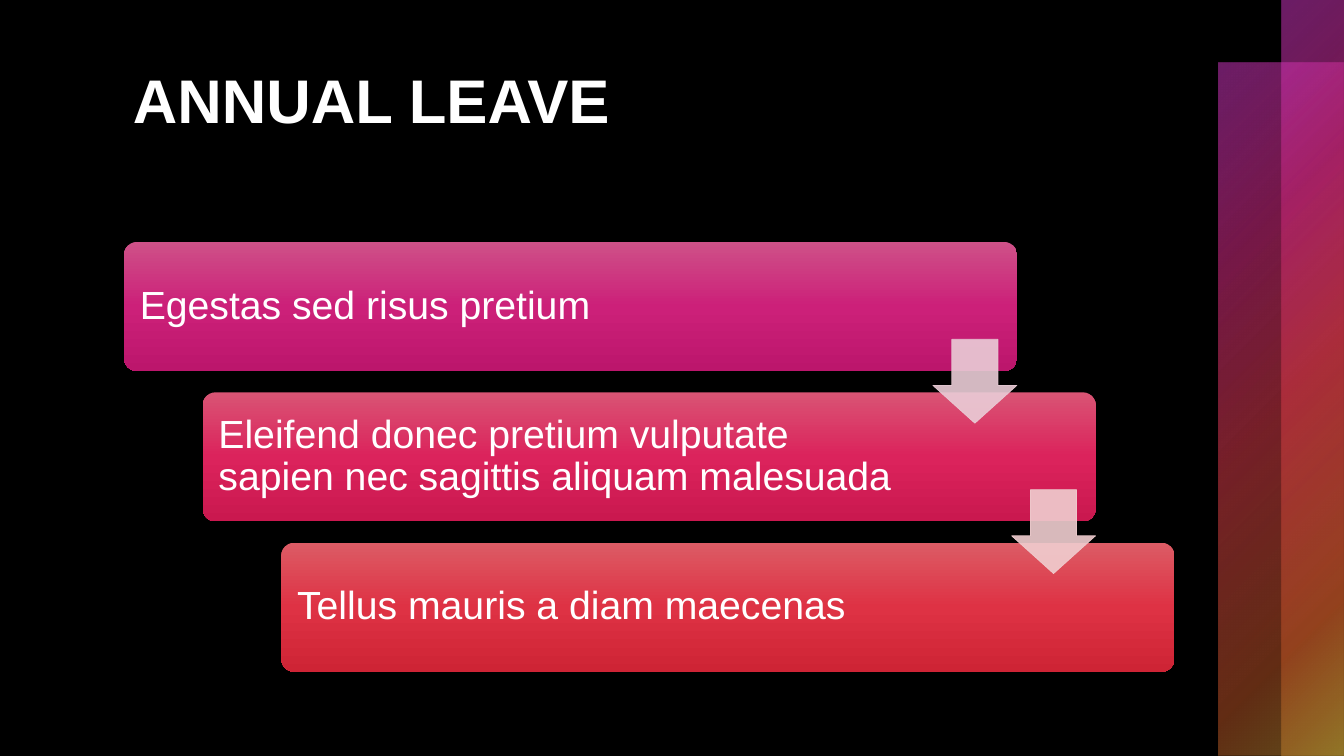
from lxml.etree import SubElement
from pptx import Presentation
from pptx.dml.color import RGBColor
from pptx.enum.shapes import MSO_SHAPE as Preset
from pptx.enum.text import MSO_ANCHOR as Anchor, MSO_AUTO_SIZE as AutoSize, PP_ALIGN as Align
from pptx.oxml.ns import qn
from pptx.util import Pt

BLACK = RGBColor(0x00, 0x00, 0x00)
WHITE = RGBColor(0xFF, 0xFF, 0xFF)
PURPLE = RGBColor(0xD6, 0x3A, 0xCC)
MAGENTA = RGBColor(0xC4, 0x28, 0x79)
RED = RGBColor(0xD6, 0x3A, 0x4A)
ORANGE = RGBColor(0xC4, 0x59, 0x28)
GOLD = RGBColor(0xC3, 0x9D, 0x35)
PINK_SHADES = (RGBColor(0xCE, 0x51, 0x88), RGBColor(0xCC, 0x20, 0x79), RGBColor(0xBC, 0x16, 0x6C))
ROSE_SHADES = (RGBColor(0xD9, 0x54, 0x74), RGBColor(0xDB, 0x23, 0x5C), RGBColor(0xCA, 0x18, 0x4F))
RED_SHADES = (RGBColor(0xDC, 0x5B, 0x65), RGBColor(0xDE, 0x32, 0x44), RGBColor(0xCE, 0x24, 0x35))
PALE_PINK = RGBColor(0xEA, 0xCD, 0xD7)
PALE_ROSE = RGBColor(0xF0, 0xCE, 0xD0)

FONT = "Arial"
SLIDE_WIDTH, SLIDE_HEIGHT = 960, 540
BAND = 44.8
STEP_LEFT, STEP_TOP, STEP_WIDTH, STEP_HEIGHT = 88.6, 172.8, 637.9, 92.2
SHIFT_X, SHIFT_Y = 56.2, 107.4
ARROW_LEFT, ARROW_TOP, ARROW_SIZE = 666.4, 242.4, 59.9

STEPS = (
    ("Egestas sed risus pretium", PINK_SHADES),
    ("Eleifend donec pretium vulputate sapien nec sagittis aliquam malesuada", ROSE_SHADES),
    ("Tellus mauris a diam maecenas", RED_SHADES),
)


def add_preset(slide, preset, left, top, width, height):
    shape = slide.shapes.add_shape(preset, Pt(left), Pt(top), Pt(width), Pt(height))
    shape.shadow.inherit = False
    shape.line.fill.background()
    return shape


def set_alpha(color_element, percent):
    SubElement(color_element, qn("a:alpha"), val=str(percent * 1000))


def start_gradient(shape, stops):
    shape.fill.background()
    properties = shape.element.spPr
    empty_fill = properties.find(qn("a:noFill"))
    gradient = SubElement(properties, qn("a:gradFill"), rotWithShape="1")
    properties.replace(empty_fill, gradient)
    stop_list = SubElement(gradient, qn("a:gsLst"))
    for position, color, opacity in stops:
        stop = SubElement(stop_list, qn("a:gs"), pos=str(position * 1000))
        color_element = SubElement(stop, qn("a:srgbClr"), val=str(color))
        if opacity < 100:
            set_alpha(color_element, opacity)
    return gradient


def add_band(slide, left, top, width, middle):
    band = add_preset(slide, Preset.RECTANGLE, left, top, width, SLIDE_HEIGHT - top)
    stops = ((0, PURPLE, 50), (25, MAGENTA, 60), (middle, RED, 55), (81, ORANGE, 50), (99, GOLD, 50))
    gradient = start_gradient(band, stops)
    radial = SubElement(gradient, qn("a:path"), path="circle")
    SubElement(radial, qn("a:fillToRect"), r="100000", b="100000")


def write_text(para, text, size, bold=False):
    para.alignment = Align.LEFT
    span = para.add_run()
    span.text = text
    font = span.font
    font.name, font.size, font.bold = FONT, Pt(size), bold
    font.color.rgb = WHITE


def set_title(slide, text):
    title = slide.shapes.title
    title.left, title.top, title.width, title.height = Pt(87.8), Pt(36), Pt(746.6), Pt(122.4)
    frame = title.text_frame
    frame.auto_size = AutoSize.NONE
    frame.vertical_anchor = Anchor.TOP
    frame.margin_top = Pt(8)
    write_text(frame.paragraphs[0], text, 44, True)


def add_step(slide, index, text, shades):
    box = add_preset(slide, Preset.ROUNDED_RECTANGLE, STEP_LEFT + index * SHIFT_X,
                     STEP_TOP + index * SHIFT_Y, STEP_WIDTH, STEP_HEIGHT)
    box.adjustments[0] = 0.1
    gradient = start_gradient(box, [(50 * place, shade, 100) for place, shade in enumerate(shades)])
    SubElement(gradient, qn("a:lin"), ang="5400000", scaled="0")
    frame = box.text_frame
    frame.word_wrap = True
    frame.vertical_anchor = Anchor.MIDDLE
    frame.margin_left = frame.margin_top = frame.margin_bottom = Pt(8.6)
    frame.margin_right = Pt(127)
    para = frame.paragraphs[0]
    para.line_spacing = 0.9
    write_text(para, text, 28)


def add_arrow(slide, index, color):
    arrow = add_preset(slide, Preset.DOWN_ARROW, ARROW_LEFT + index * SHIFT_X,
                       ARROW_TOP + index * SHIFT_Y, ARROW_SIZE, ARROW_SIZE)
    arrow.adjustments[0] = 0.55
    arrow.adjustments[1] = 0.45
    for fill in (arrow.fill, arrow.line.fill):
        fill.solid()
        fill.fore_color.rgb = color
    arrow.line.width = Pt(0.5)
    for color_element in arrow.element.spPr.iter(qn("a:srgbClr")):
        set_alpha(color_element, 90)


def main():
    deck = Presentation()
    deck.slide_width, deck.slide_height = Pt(SLIDE_WIDTH), Pt(SLIDE_HEIGHT)
    page = deck.slides.add_slide(deck.slide_layouts.get_by_name("Title Only"))
    page.background.fill.solid()
    page.background.fill.fore_color.rgb = BLACK
    add_band(page, SLIDE_WIDTH - 2 * BAND, BAND, 2 * BAND, 50)
    add_band(page, SLIDE_WIDTH - BAND, 0, BAND, 49)
    set_title(page, "ANNUAL LEAVE")
    for index, (text, shades) in enumerate(STEPS):
        add_step(page, index, text, shades)
    for index, color in enumerate((PALE_PINK, PALE_ROSE)):
        add_arrow(page, index, color)
    deck.save("out.pptx")


if __name__ == "__main__":
    main()
